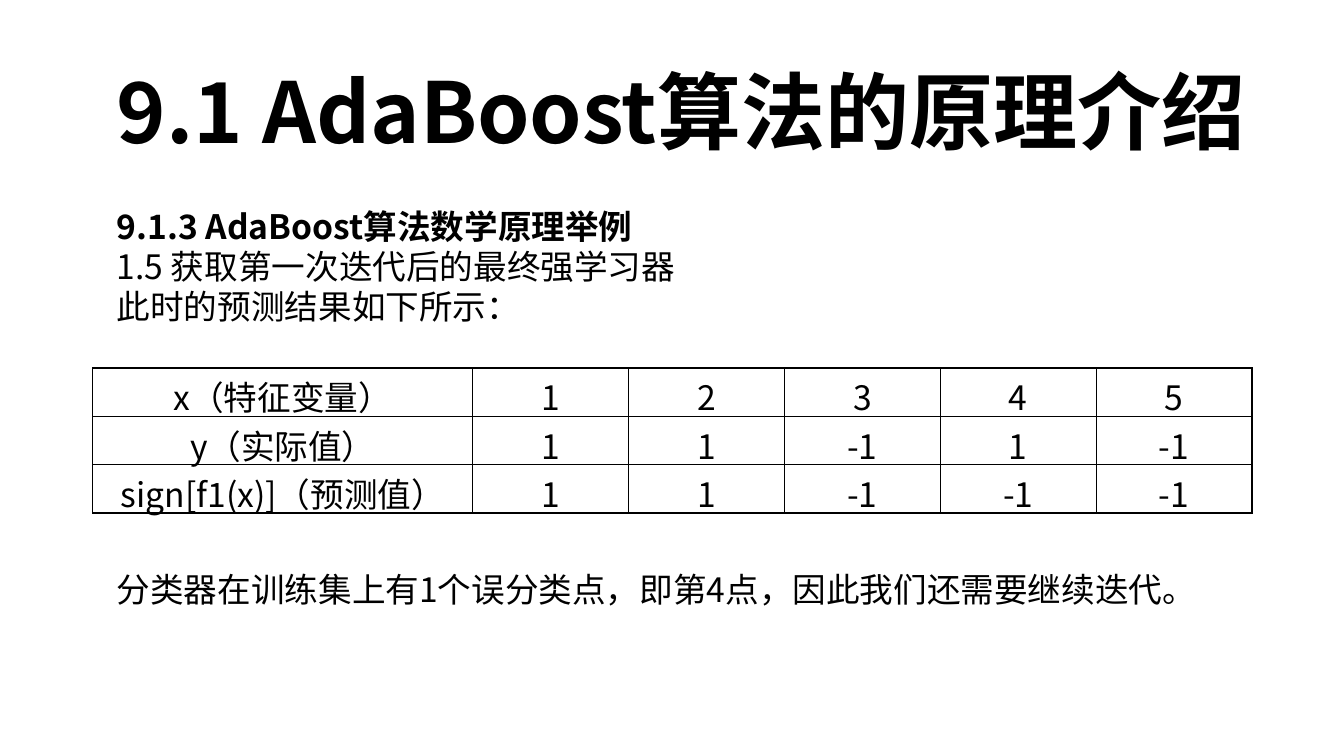
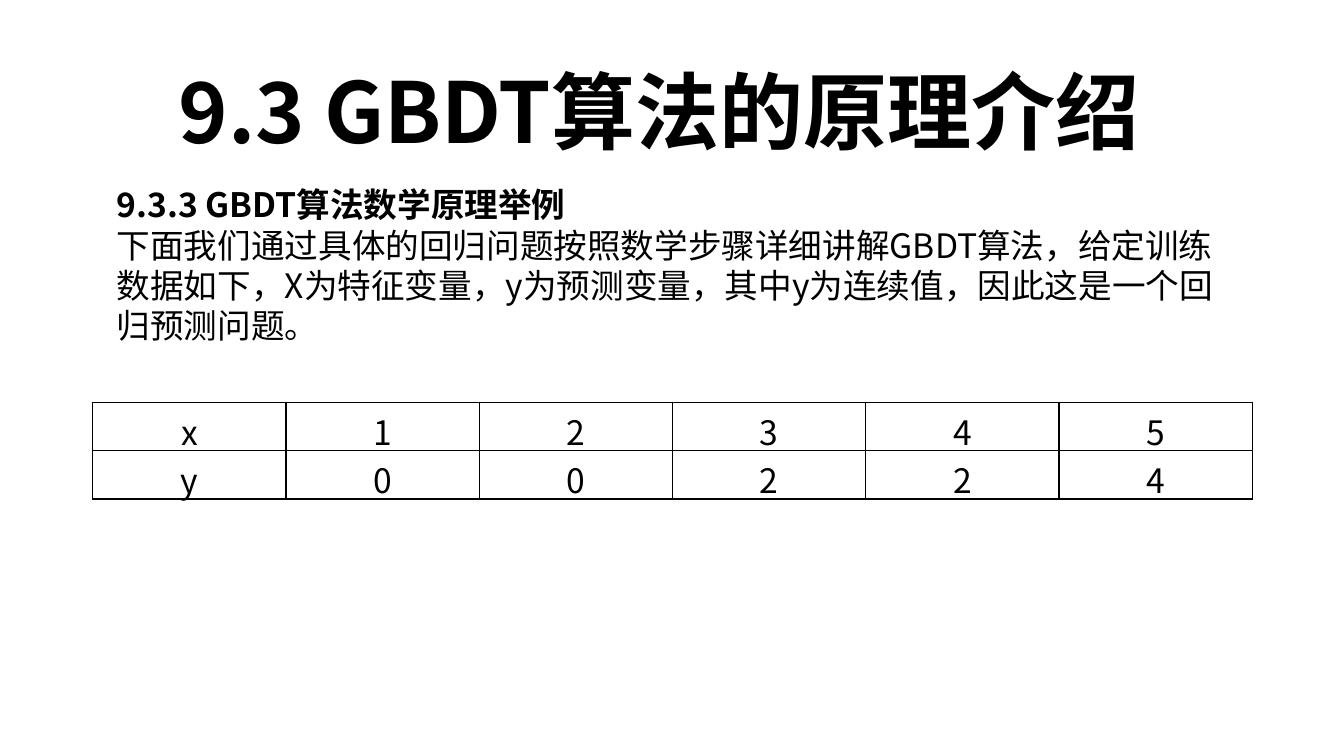
from dataclasses import dataclass

from lxml import etree
from pptx import Presentation
from pptx.dml.color import RGBColor
from pptx.enum.text import MSO_ANCHOR, MSO_AUTO_SIZE, PP_ALIGN
from pptx.oxml.ns import qn
from pptx.util import Inches, Pt

BLACK = RGBColor(0x00, 0x00, 0x00)
FONT_NAME = "Noto Sans CJK SC"
TITLE_SIZE = 60
BODY_SIZE = 24
TITLE_ONLY_LAYOUT = 5
ROW_HEIGHT = 0.31
TABLE_WIDTH = 11.5
LEFT = PP_ALIGN.LEFT
CENTER = PP_ALIGN.CENTER
TOP = MSO_ANCHOR.TOP
MIDDLE = MSO_ANCHOR.MIDDLE
FIT_SHAPE = MSO_AUTO_SIZE.SHAPE_TO_FIT_TEXT


@dataclass(frozen=True)
class Line:
    text: str
    bold: bool = False
    space_before: float = 0


@dataclass(frozen=True)
class Grid:
    top: float
    label_width: float
    rows: list[list[str]]


@dataclass(frozen=True)
class Lesson:
    title: str
    title_left: float
    title_width: float
    body_top: float
    body_height: float
    lines: list[Line]
    grid: Grid


LESSONS = [
    Lesson(
        "9.1 AdaBoost算法的原理介绍", 1.06, 11.74, 1.99, 4.14,
        [
            Line("9.1.3 AdaBoost算法数学原理举例", bold=True),
            Line("1.5 获取第一次迭代后的最终强学习器"),
            Line("此时的预测结果如下所示："),
            Line("分类器在训练集上有1个误分类点，即第4点，因此我们还需要继续迭代。", space_before=173),
        ],
        Grid(3.65, 3.77, [
            ["x（特征变量）", "1", "2", "3", "4", "5"],
            ["y（实际值）", "1", "1", "-1", "1", "-1"],
            ["sign[f1(x)]（预测值）", "1", "1", "-1", "-1", "-1"],
        ]),
    ),
    Lesson(
        "9.3 GBDT算法的原理介绍", 1.67, 10, 1.78, 1.72,
        [
            Line("9.3.3 GBDT算法数学原理举例", bold=True),
            Line(
                "下面我们通过具体的回归问题按照数学步骤详细讲解GBDT算法，给定训练数据如下，"
                "X为特征变量，y为预测变量，其中y为连续值，因此这是一个回归预测问题。"
            ),
        ],
        Grid(3.99, TABLE_WIDTH / 6, [
            ["x", "1", "2", "3", "4", "5"],
            ["y", "0", "0", "2", "2", "4"],
        ]),
    ),
]


def style_paragraph(paragraph, size: float, bold: bool = False, alignment=LEFT) -> None:
    paragraph.alignment = alignment
    font = paragraph.font
    font.name = FONT_NAME
    font.size = Pt(size)
    font.bold = bold
    font.color.rgb = BLACK
    properties = paragraph._p.get_or_add_pPr().find(qn("a:defRPr"))
    east_asian = etree.Element(qn("a:ea"), typeface=FONT_NAME)
    properties.find(qn("a:latin")).addnext(east_asian)


def add_title(slide, lesson: Lesson) -> None:
    title = slide.shapes.title
    title.left, title.top = Inches(lesson.title_left), Inches(0.54)
    title.width, title.height = Inches(lesson.title_width), Inches(1.11)
    frame = title.text_frame
    frame.text = lesson.title
    frame.word_wrap = False
    frame.auto_size = FIT_SHAPE
    frame.vertical_anchor = TOP
    style_paragraph(frame.paragraphs[0], TITLE_SIZE, bold=True)


def add_body(slide, lesson: Lesson) -> None:
    box = slide.shapes.add_textbox(
        Inches(1.06), Inches(lesson.body_top), Inches(11.21), Inches(lesson.body_height)
    )
    frame = box.text_frame
    frame.word_wrap = True
    frame.auto_size = FIT_SHAPE
    frame.text = "\n".join(line.text for line in lesson.lines)
    for paragraph, line in zip(frame.paragraphs, lesson.lines):
        if line.space_before:
            paragraph.space_before = Pt(line.space_before)
        style_paragraph(paragraph, BODY_SIZE, line.bold)


def add_borders(cell) -> None:
    properties = cell._tc.get_or_add_tcPr()
    for index, side in enumerate(("lnL", "lnR", "lnT", "lnB")):
        border = etree.Element(qn(f"a:{side}"), w=str(Pt(1)))
        fill = etree.SubElement(border, qn("a:solidFill"))
        etree.SubElement(fill, qn("a:srgbClr"), val=str(BLACK))
        properties.insert(index, border)


def fill_cell(cell, text: str) -> None:
    cell.text = text
    cell.fill.background()
    cell.vertical_anchor = MIDDLE
    cell.margin_left = cell.margin_right = Inches(0)
    cell.margin_top = cell.margin_bottom = Inches(0.04)
    style_paragraph(cell.text_frame.paragraphs[0], BODY_SIZE, alignment=CENTER)
    add_borders(cell)


def add_grid(slide, grid: Grid) -> None:
    row_count, column_count = len(grid.rows), len(grid.rows[0])
    table = slide.shapes.add_table(
        row_count, column_count, Inches(0.92), Inches(grid.top),
        Inches(TABLE_WIDTH), Inches(ROW_HEIGHT * row_count),
    ).table
    table.first_row = table.horz_banding = False
    value_width = (TABLE_WIDTH - grid.label_width) / (column_count - 1)
    for index, column in enumerate(table.columns):
        column.width = Inches(value_width if index else grid.label_width)
    for row, texts in zip(table.rows, grid.rows):
        row.height = Inches(ROW_HEIGHT)
        for cell, text in zip(row.cells, texts):
            fill_cell(cell, text)


def main() -> None:
    presentation = Presentation()
    presentation.slide_width = Inches(13.33)
    presentation.slide_height = Inches(7.5)
    for lesson in LESSONS:
        slide = presentation.slides.add_slide(presentation.slide_layouts[TITLE_ONLY_LAYOUT])
        add_title(slide, lesson)
        add_body(slide, lesson)
        add_grid(slide, lesson.grid)
    presentation.save("out.pptx")


if __name__ == "__main__":
    main()
